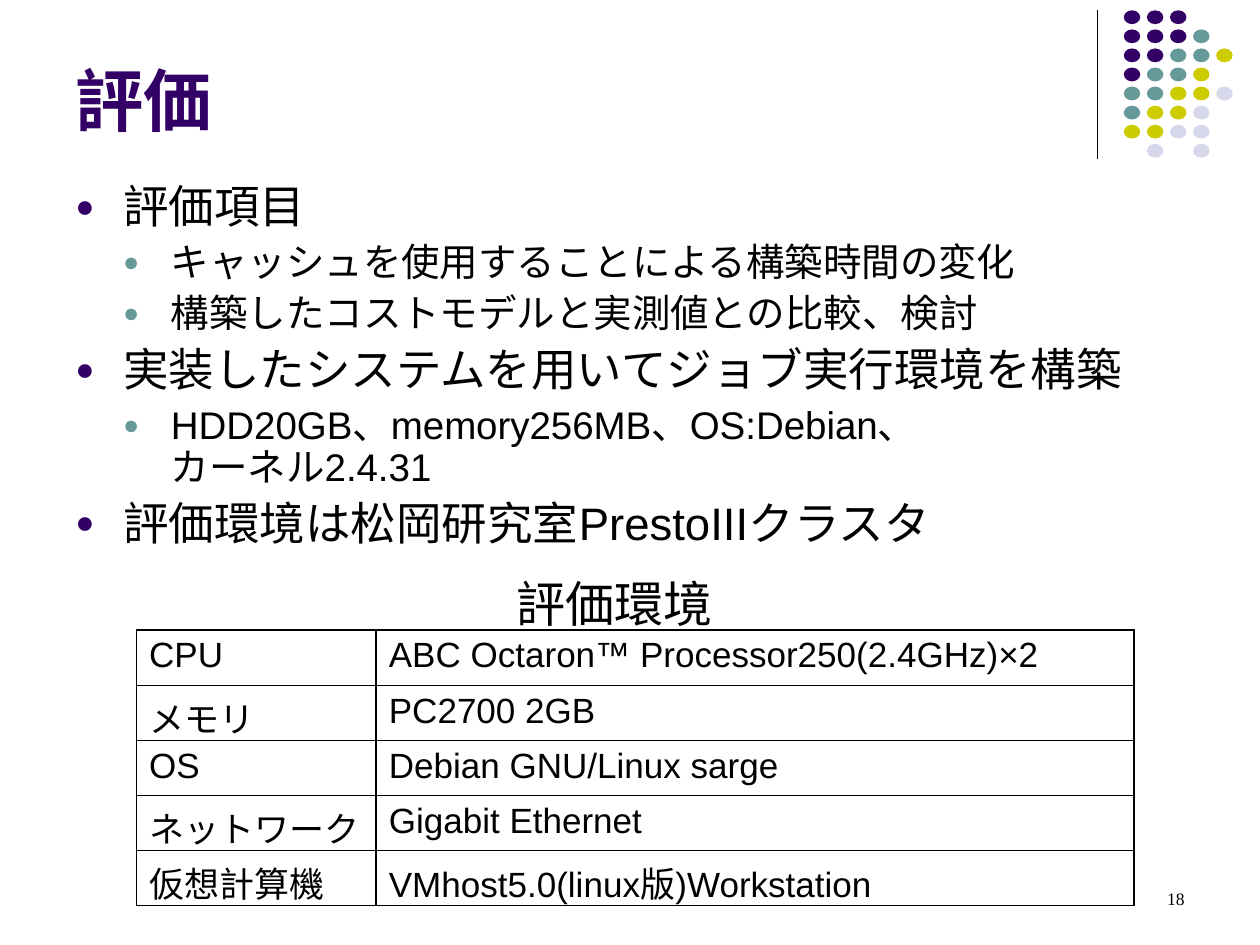
from lxml.etree import SubElement
from pptx import Presentation
from pptx.dml.color import RGBColor
from pptx.enum.shapes import MSO_CONNECTOR, MSO_SHAPE
from pptx.enum.text import MSO_ANCHOR, PP_ALIGN
from pptx.oxml.ns import qn
from pptx.util import Pt

COLORS = {
    "text": "000000",
    "purple": "330066",
    "teal": "669999",
    "olive": "CCCC00",
    "lavender": "D8D8EC",
}


def add_text_frame(left, top, width, height, anchor=MSO_ANCHOR.TOP):
    frame = slide.shapes.add_textbox(Pt(left), Pt(top), Pt(width), Pt(height)).text_frame
    frame.word_wrap = True
    frame.vertical_anchor = anchor
    return frame


def add_run(paragraph, text, size, font="Arial", color="text", bold=False):
    run = paragraph.add_run()
    run.text = text
    run.font.size = Pt(size)
    run.font.name = font
    run.font.bold = bold
    run.font.color.rgb = RGBColor.from_string(COLORS[color])


presentation = Presentation()
presentation.slide_width, presentation.slide_height = Pt(720), Pt(540)
slide = presentation.slides.add_slide(presentation.slide_layouts[6])

# Vertical rule beside the dots
rule = slide.shapes.add_connector(
    MSO_CONNECTOR.STRAIGHT, Pt(627), Pt(6), Pt(627), Pt(90.7))
rule.line.color.rgb = RGBColor.from_string(COLORS["text"])
rule.line.width = Pt(0.75)
SubElement(rule._element.spPr, qn("a:effectLst"))

# Dot grid: one letter per dot, a space where there is none
dot_colors = {"P": "purple", "T": "teal", "O": "olive", "L": "lavender"}
dot_rows = ["PPP", "PPPT", "PPTTO", "PTTO", "TTOOL", "TOOL", "OOLL", " L L"]
for row, letters in enumerate(dot_rows):
    for column, letter in enumerate(letters):
        if letter == " ":
            continue
        dot = slide.shapes.add_shape(
            MSO_SHAPE.OVAL, Pt(642.2 + 13.2 * column), Pt(5.9 + 10.9 * row),
            Pt(9.4), Pt(7.9))
        dot.shadow.inherit = False
        dot.fill.solid()
        dot.fill.fore_color.rgb = RGBColor.from_string(COLORS[dot_colors[letter]])
        dot.line.fill.background()

# Title
title = add_text_frame(36, 6, 594, 77.5, MSO_ANCHOR.BOTTOM)
add_run(title.paragraphs[0], "評価", 39, color="purple", bold=True)

# Bulleted body: level and lines of each item
items = [
    (0, ["評価項目"]),
    (1, ["キャッシュを使用することによる構築時間の変化"]),
    (1, ["構築したコストモデルと実測値との比較、検討"]),
    (0, ["実装したシステムを用いてジョブ実行環境を構築"]),
    (1, ["HDD20GB、memory256MB、OS:Debian、", "カーネル2.4.31"]),
    (0, ["評価環境は松岡研究室PrestoIIIクラスタ"]),
]
level_styles = [(26, 6.5, "purple"), (22, 5.5, "teal")]
body = add_text_frame(36, 102, 672, 228)
for index, (level, lines) in enumerate(items):
    size, space_before, bullet_color = level_styles[level]
    paragraph = body.add_paragraph() if index else body.paragraphs[0]
    paragraph.level = level
    properties = paragraph._p.get_or_add_pPr()
    properties.set("marL", str(Pt(27.3 * (level + 1))))
    properties.set("indent", str(-Pt(27.3)))
    color = SubElement(properties, qn("a:buClr"))
    SubElement(color, qn("a:srgbClr"), val=COLORS[bullet_color])
    SubElement(properties, qn("a:buSzPct"), val="70000")
    SubElement(properties, qn("a:buFont"), typeface="Arial")
    SubElement(properties, qn("a:buChar"), char="●")
    paragraph.line_spacing = 0.9
    if index:
        paragraph.space_before = Pt(space_before)
    for number, line in enumerate(lines):
        if number:
            paragraph.add_line_break()
        add_run(paragraph, line, size)

# Environment table
rows = [
    ("CPU", "ABC Octaron™ Processor250(2.4GHz)×2"),
    ("メモリ", "PC2700 2GB"),
    ("OS", "Debian GNU/Linux sarge"),
    ("ネットワーク", "Gigabit Ethernet"),
    ("仮想計算機", "VMhost5.0(linux版)Workstation"),
]
table = slide.shapes.add_table(
    len(rows), 2, Pt(78), Pt(360), Pt(570), Pt(31.5 * len(rows))).table
table.first_row = False
table.horz_banding = False
table.columns[0].width, table.columns[1].width = Pt(137), Pt(433)
for row, texts in enumerate(rows):
    table.rows[row].height = Pt(31.5)
    top_width = 1.08 if row == 0 else 0.45
    bottom_width = 1.08 if row == len(rows) - 1 else 0.45
    for column, text in enumerate(texts):
        cell = table.cell(row, column)
        cell_properties = cell._tc.get_or_add_tcPr()
        for side, width in zip("LRTB", (1.08, 1.08, top_width, bottom_width)):
            border = SubElement(cell_properties, qn(f"a:ln{side}"), w=str(Pt(width)))
            fill = SubElement(border, qn("a:solidFill"))
            SubElement(fill, qn("a:srgbClr"), val=COLORS["text"])
        cell.fill.background()
        add_run(cell.text_frame.paragraphs[0], text, 20)

# Table caption
caption = add_text_frame(288, 324, 132, 41)
add_run(caption.paragraphs[0], "評価環境", 28, font="Karla")

# Slide number
slide_number = add_text_frame(516, 504, 168, 36)
slide_number.paragraphs[0].alignment = PP_ALIGN.RIGHT
add_run(slide_number.paragraphs[0], "18", 10, font="Times New Roman")

presentation.save("out.pptx")
